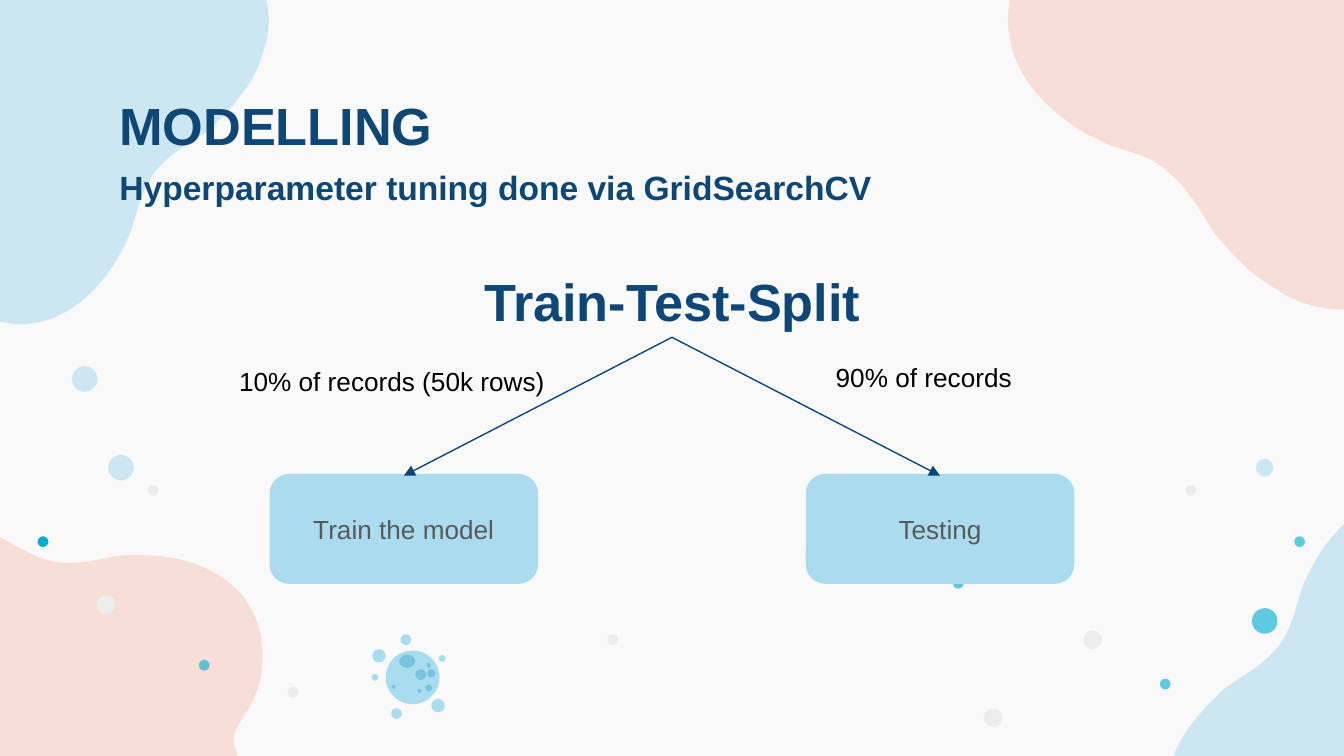
import math
from typing import NamedTuple

from lxml import etree
from pptx import Presentation, util as u
from pptx.dml.color import RGBColor
from pptx.enum import shapes, text
from pptx.oxml import ns

NAVY, SKY, SALMON, TEAL, MIST = "0E4776", "AADBEE", "F5AD9A", "02ACD0", "EDEDED"
VIRUS, CRATER = "AADCEF", "75C4E0"
SLIDE_WIDTH = u.Inches(10)
SLIDE_HEIGHT = SLIDE_WIDTH * 9 // 16
Point = tuple[float, float]


class Dot(NamedTuple):
    x: float  # centre
    y: float
    width: float
    height: float
    color: str
    opacity: int = 100


class Blob(NamedTuple):
    left: float
    top: float
    turn: float
    color: str
    opacity: int


class Caption(NamedTuple):
    words: str
    left: float
    top: float
    width: float
    height: float
    size: int
    color: str = NAVY
    bold: bool = True
    inset: float = 0.1
    align: text.PP_ALIGN = text.PP_ALIGN.LEFT
    anchor: text.MSO_ANCHOR = text.MSO_ANCHOR.TOP
    grow: bool = False


# Outlines: a start point, then cubic segments; a single point is a straight line
WAVE = [
    (-0.58, 3.86),
    [(-0.64, 3.86), (-0.7, 3.87), (-0.76, 3.88)], [(-1.04, 3.92), (-1.27, 4.12), (-1.29, 4.38)],
    [(-1.3, 4.5), (-1.18, 4.7), (-1.22, 4.81)], [(-1.26, 4.92), (-1.55, 5.26), (-1.54, 5.53)],
    [(-1.53, 5.78), (-1.47, 5.86), (-1.37, 5.99)], [(1.71, 5.99)],
    [(1.77, 5.86), (1.82, 5.76), (1.75, 5.57)], [(1.69, 5.44), (1.85, 5.32), (1.89, 5.19)],
    [(1.95, 5.07), (1.96, 4.94), (1.95, 4.81)], [(1.94, 4.64), (1.86, 4.46), (1.71, 4.34)],
    [(1.53, 4.19), (1.28, 4.13), (1.04, 4.13)], [(0.98, 4.13), (0.92, 4.13), (0.86, 4.14)],
    [(0.75, 4.16), (0.64, 4.19), (0.53, 4.19)], [(0.52, 4.19), (0.5, 4.19), (0.48, 4.19)],
    [(0.3, 4.18), (0.13, 4.07), (-0.03, 3.98)], [(-0.21, 3.91), (-0.4, 3.86), (-0.58, 3.86)],
]
CORNER = [
    (9.52, 2.15),
    [(9.57, 2.19), (9.64, 2.22), (9.7, 2.24)], [(10, 2.35), (10.33, 2.29), (10.5, 2.05)],
    [(10.57, 1.95), (10.7, 1.79), (10.8, 1.69)], [(10.9, 1.61), (11.34, 1.37), (11.39, 1.07)],
    [(11.53, 0.25), (10.97, -0.34), (10.37, -0.69)], [(9.87, -0.98), (9.34, -1.1), (9.11, -1.07)],
    [(8.69, -1.02), (7.98, -0.64), (7.84, -0.54)], [(7.73, -0.46), (7.64, -0.33), (7.58, -0.2)],
    [(7.5, -0.03), (7.48, 0.19), (7.55, 0.39)], [(7.63, 0.64), (7.85, 0.84), (8.08, 0.98)],
    [(8.14, 1.01), (8.2, 1.04), (8.27, 1.07)], [(8.39, 1.11), (8.51, 1.14), (8.61, 1.2)],
    [(8.62, 1.21), (8.64, 1.22), (8.65, 1.23)], [(8.83, 1.36), (8.93, 1.54), (9.04, 1.72)],
    [(9.18, 1.89), (9.33, 2.05), (9.52, 2.15)],
]
CORNER_BLOB = Blob(7.49, -0.97, 210, SALMON, 34)
CORNER_CENTRE = (9.51, 0.48)
LOWER_WAVE = Blob(-1.54, 3.86, 0, SALMON, 34)
SIDE_WAVES = [Blob(-1.16, -0.31, 117.5, SKY, 57), Blob(8.33, 4.27, 297.5, SKY, 57)]

DOTS = [
    *(Dot(x, y, d, d, SKY, 57) for x, y, d in [(0.63, 2.82, 0.19), (0.9, 3.48, 0.19), (9.41, 3.48, 0.13)]),
    *(Dot(x, y, 0.08, 0.08, MIST) for x, y in [(1.14, 3.65), (2.18, 5.15), (4.56, 4.76), (8.86, 3.65)]),
    *(Dot(x, y, 0.14, 0.14, MIST) for x, y in [(0.79, 4.5), (7.39, 5.34), (8.13, 4.76)]),
    *(Dot(x, y, 0.08, 0.08, TEAL, 62) for x, y in [(1.52, 4.95), (8.67, 5.09), (7.13, 4.34), (9.67, 4.03)]),
    Dot(0.32, 4.03, 0.08, 0.08, TEAL),
    Dot(9.41, 4.62, 0.19, 0.19, TEAL, 62),
]
VIRUS_DOTS = [
    *(Dot(*place, VIRUS) for place in [
        (3.02, 4.76, 0.08, 0.08), (2.95, 5.31, 0.08, 0.08), (2.82, 4.88, 0.1, 0.1),
        (3.26, 5.25, 0.1, 0.1), (3.29, 4.9, 0.05, 0.05), (2.79, 5.04, 0.05, 0.05),
        (3.07, 5.04, 0.4, 0.4)]),
    *(Dot(*place, CRATER) for place in [
        (3.21, 5.01, 0.06, 0.06), (3.19, 4.95, 0.03, 0.04), (3.13, 5.02, 0.08, 0.08),
        (3.03, 4.92, 0.12, 0.1), (3.19, 5.12, 0.05, 0.05), (2.93, 5.11, 0.03, 0.03),
        (3.12, 5.14, 0.03, 0.03)]),
]

SPLIT = Caption("Train-Test-Split", 2.99, 1.96, 4.02, 0.55, 28,
                align=text.PP_ALIGN.CENTER, anchor=text.MSO_ANCHOR.MIDDLE)
CAPTIONS = [
    Caption("10% of records (50k rows)", 1.68, 2.67, 2.51, 0.34, 14, "000000", False, 0.05, grow=True),
    Caption("90% of records", 6.12, 2.64, 2.06, 0.34, 14, "000000", False, 0.05, grow=True),
    Caption("MODELLING", 0.79, 0.59, 8.43, 0.52, 28),
    Caption("Hyperparameter tuning done via GridSearchCV", 0.79, 1.14, 5.93, 0.4, 18),
]
OUTCOMES = [("Train the model", 2.02), ("Testing", 6.01)]


def rgb(color: str) -> RGBColor:
    return RGBColor.from_string(color)


def paint(shape, color: str, opacity: int = 100) -> None:
    shape.shadow.inherit = False
    shape.fill.solid()
    shape.fill.fore_color.rgb = rgb(color)
    shape.line.fill.background()
    if opacity < 100:
        tint = shape._element.spPr.find(".//" + ns.qn("a:srgbClr"))
        etree.SubElement(tint, ns.qn("a:alpha"), val=str(opacity * 1000))


def trace(outline: list, steps: int = 10) -> list[Point]:
    """Turn cubic segments into closely spaced points."""
    points = [outline[0]]
    for segment in outline[1:]:
        if len(segment) == 1:
            points += segment
            continue
        corners = [points[-1], *segment]
        for step in range(1, steps + 1):
            t = step / steps
            weights = [math.comb(3, i) * t**i * (1 - t) ** (3 - i) for i in range(4)]
            points.append(tuple(sum(w * c[axis] for w, c in zip(weights, corners)) for axis in (0, 1)))
    return points


def turned(points: list[Point], degrees: float, centre: Point) -> list[Point]:
    cos, sin = math.cos(math.radians(degrees)), math.sin(math.radians(degrees))
    cx, cy = centre
    return [(cx + (x - cx) * cos - (y - cy) * sin, cy + (x - cx) * sin + (y - cy) * cos)
            for x, y in points]


def draw_blob(slide, blob: Blob, points: list[Point]) -> None:
    corners = [(u.Inches(x), u.Inches(y)) for x, y in points]
    builder = slide.shapes.build_freeform(*corners[0])
    builder.add_line_segments(corners[1:], close=True)
    shape = builder.convert_to_shape()
    shape.left, shape.top = u.Inches(blob.left), u.Inches(blob.top)
    shape.rotation = blob.turn
    paint(shape, blob.color, blob.opacity)


def draw_dot(slide, dot: Dot) -> None:
    oval = slide.shapes.add_shape(
        shapes.MSO_SHAPE.OVAL, u.Inches(dot.x - dot.width / 2), u.Inches(dot.y - dot.height / 2),
        u.Inches(dot.width), u.Inches(dot.height))
    paint(oval, dot.color, dot.opacity)


def write(frame, words: str, size: int, color: str, bold: bool, align: text.PP_ALIGN) -> None:
    frame.text = words
    frame.word_wrap = True
    paragraph = frame.paragraphs[0]
    paragraph.alignment = align
    font = paragraph.runs[0].font
    font.name, font.size, font.bold = "Arial", u.Pt(size), bold
    font.color.rgb = rgb(color)


def draw_caption(slide, item: Caption):
    box = slide.shapes.add_textbox(*map(u.Inches, (item.left, item.top, item.width, item.height)))
    frame = box.text_frame
    write(frame, item.words, item.size, item.color, item.bold, item.align)
    frame.margin_top = frame.margin_bottom = u.Inches(item.inset)
    frame.vertical_anchor = item.anchor
    if item.grow:
        frame.auto_size = text.MSO_AUTO_SIZE.SHAPE_TO_FIT_TEXT
    return box


def draw_outcome(slide, words: str, left: float):
    box = slide.shapes.add_shape(
        shapes.MSO_SHAPE.ROUNDED_RECTANGLE, *map(u.Inches, (left, 3.54, 1.97, 0.79)))
    paint(box, SKY)
    box.line.color.rgb = rgb(SKY)
    box.line.width = u.Pt(2)
    write(box.text_frame, words, 14, "595959", False, text.PP_ALIGN.CENTER)
    box.text_frame.vertical_anchor = text.MSO_ANCHOR.MIDDLE
    return box


def draw_arrow(slide, source, target) -> None:
    arrow = slide.shapes.add_connector(shapes.MSO_CONNECTOR.STRAIGHT, 0, 0, 0, 0)
    arrow.begin_connect(source, 2)
    arrow.end_connect(target, 0)
    arrow.line.color.rgb = rgb("0B4676")
    arrow.line.width = u.Pt(0.75)
    properties = arrow._element.spPr
    etree.SubElement(properties.find(ns.qn("a:ln")), ns.qn("a:tailEnd"), type="triangle")
    etree.SubElement(properties, ns.qn("a:effectLst"))


def main() -> None:
    deck = Presentation()
    deck.slide_width, deck.slide_height = SLIDE_WIDTH, SLIDE_HEIGHT
    slide = deck.slides.add_slide(deck.slide_layouts[6])
    slide.background.fill.solid()
    slide.background.fill.fore_color.rgb = rgb("F9F9F9")

    # Backdrop: blobs, bubbles and the virus
    wave = trace(WAVE)
    draw_blob(slide, CORNER_BLOB, turned(trace(CORNER), -CORNER_BLOB.turn, CORNER_CENTRE))
    draw_blob(slide, LOWER_WAVE, wave)
    for dot in DOTS + VIRUS_DOTS:
        draw_dot(slide, dot)
    for blob in SIDE_WAVES:
        draw_blob(slide, blob, wave)

    # Split diagram
    split = draw_caption(slide, SPLIT)
    outcomes = [draw_outcome(slide, words, left) for words, left in OUTCOMES]
    for outcome in reversed(outcomes):
        draw_arrow(slide, split, outcome)

    # Headings and share labels
    for item in CAPTIONS:
        draw_caption(slide, item)
    deck.save("out.pptx")


if __name__ == "__main__":
    main()
